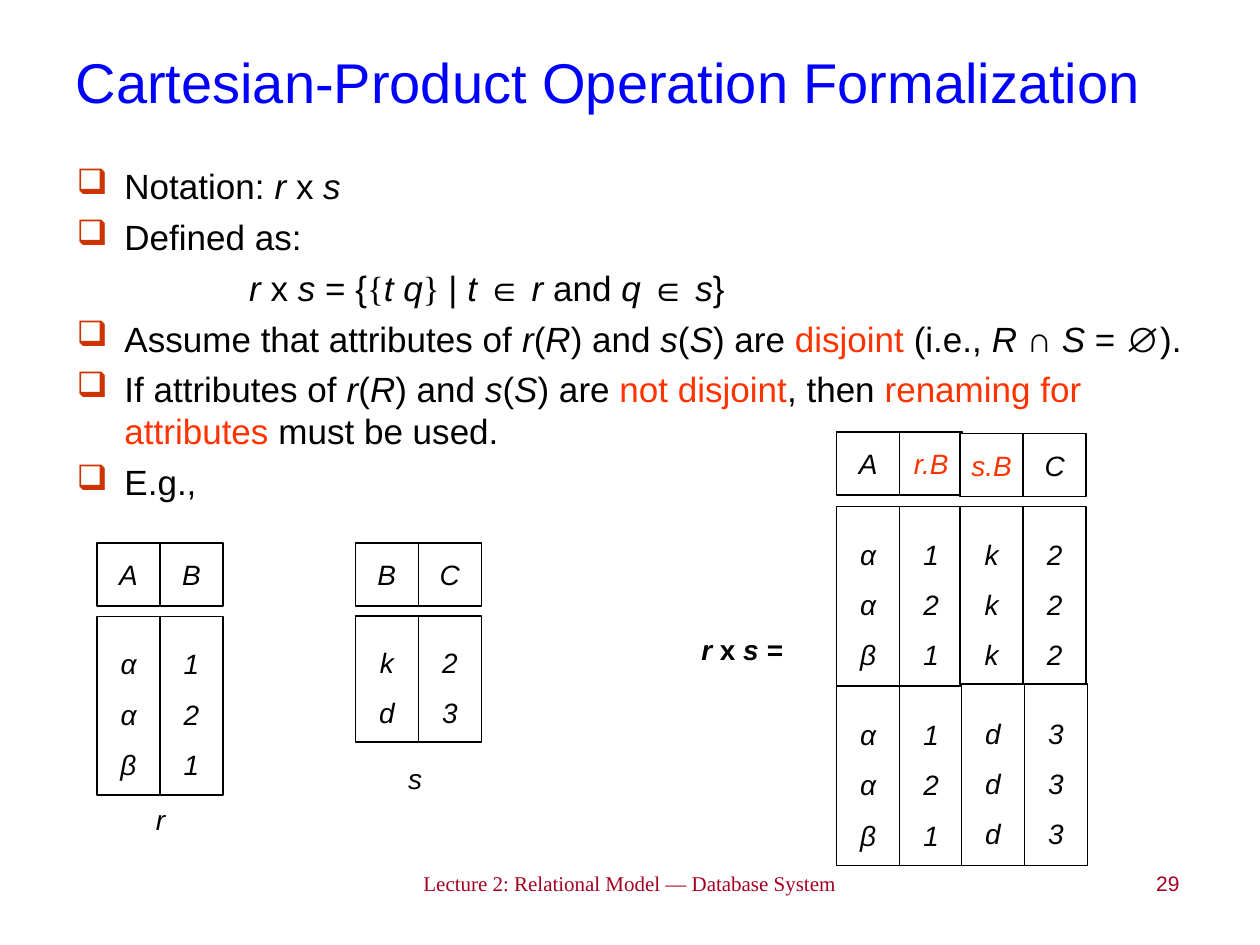
from lxml import etree
from pptx import Presentation
from pptx import util as u
from pptx.dml.color import RGBColor
from pptx.enum import shapes, text
from pptx.oxml import ns

BLACK, WHITE, BLUE = "000000", "FFFFFF", "0000FF"
RED, RUST, WINE = "FF3300", "CC3300", "A50021"
LEFT, CENTER, RIGHT = text.PP_ALIGN.LEFT, text.PP_ALIGN.CENTER, text.PP_ALIGN.RIGHT
SERIF = "Times New Roman"


def color(code):
    return RGBColor.from_string(code)


class Page:
    font = "Arial"
    body_size = 20
    cell_size = 16
    footer_size = 12
    cell_side = 0.5

    def __init__(self, deck):
        self.slide = deck.slides.add_slide(deck.slide_layouts[5])

    def span(self, para, words, size, code=BLACK, italic=False, bold=False, font=None):
        span = para.add_run()
        span.text = words
        span.font.name = font or self.font
        span.font.size = u.Pt(size)
        span.font.color.rgb = color(code)
        span.font.italic = italic
        span.font.bold = bold

    def frame(self, box, wrap=True, anchor=text.MSO_ANCHOR.TOP):
        frame = box.text_frame
        frame.auto_size = text.MSO_AUTO_SIZE.NONE
        frame.word_wrap = wrap
        frame.vertical_anchor = anchor
        frame.margin_left = frame.margin_right = u.Inches(0.1)
        frame.margin_top = frame.margin_bottom = u.Inches(0.05)
        return frame

    def textbox(self, left, top, width, height, **options):
        box = self.slide.shapes.add_textbox(*map(u.Inches, (left, top, width, height)))
        return self.frame(box, **options)

    def title(self, words, left, top, width, height):
        box = self.slide.shapes.title
        box.left, box.top = u.Inches(left), u.Inches(top)
        box.width, box.height = u.Inches(width), u.Inches(height)
        para = self.frame(box, anchor=text.MSO_ANCHOR.MIDDLE).paragraphs[0]
        para.alignment = LEFT
        self.span(para, words, 32, BLUE)

    def footer(self, words, align, left, top, width, height, font=None):
        para = self.textbox(left, top, width, height).paragraphs[0]
        para.alignment = align
        self.span(para, words, self.footer_size, WINE, font=font)

    def label(self, spans, left, top, width, height, bold=False):
        frame = self.textbox(left, top, width, height, wrap=False,
                             anchor=text.MSO_ANCHOR.MIDDLE)
        para = frame.paragraphs[0]
        para.alignment = CENTER
        for words, italic in spans:
            self.span(para, words, self.cell_size, italic=italic, bold=bold)

    def bullet(self, para, mark):
        props = para._p.get_or_add_pPr()
        tint = etree.SubElement(props, ns.qn("a:buClr"))
        etree.SubElement(tint, ns.qn("a:srgbClr"), val=RUST)
        etree.SubElement(props, ns.qn("a:buChar"), char=mark)

    def body(self, items, left, top, width, height):
        frame = self.textbox(left, top, width, height)
        for number, (bulleted, spans) in enumerate(items):
            para = frame.add_paragraph() if number else frame.paragraphs[0]
            props = para._p.get_or_add_pPr()
            props.set("marL", str(u.Inches(0.38 if bulleted else 1.37)))
            props.set("indent", str(u.Inches(-0.38 if bulleted else 0)))
            if bulleted:
                self.bullet(para, "❑")
            para.space_before = u.Pt(5 if number else 0)
            for words, style in spans:
                self.span(para, words, self.body_size, **style)

    def cell(self, lines, left, top, height, code=BLACK, spacing=1.0):
        box = self.slide.shapes.add_shape(
            shapes.MSO_SHAPE.RECTANGLE,
            *map(u.Inches, (left, top, self.cell_side, height)))
        box.shadow.inherit = False
        box.fill.solid()
        box.fill.fore_color.rgb = color(WHITE)
        box.line.color.rgb = color(BLACK)
        box.line.width = u.Pt(0.75)
        frame = self.frame(box, wrap=False, anchor=text.MSO_ANCHOR.MIDDLE)
        for number, words in enumerate(lines):
            para = frame.add_paragraph() if number else frame.paragraphs[0]
            para.alignment = CENTER
            para.line_spacing = spacing
            self.span(para, words, self.cell_size, code, italic=True)

    def header(self, names, left, top):
        for number, name in enumerate(names):
            self.cell([name], left + number * self.cell_side, top, self.cell_side,
                      RED if "." in name else BLACK)

    def columns(self, values, left, top, height):
        for number, lines in enumerate(values):
            self.cell(lines, left + number * self.cell_side, top, height, spacing=1.5)


PLAIN, ITALIC, ACCENT = {}, {"italic": True}, {"code": RED}
BRACE = {"font": SERIF}

RELATIONS = [
    ("r", ITALIC), ("(", PLAIN), ("R", ITALIC), (") and ", PLAIN),
    ("s", ITALIC), ("(", PLAIN), ("S", ITALIC), (") are ", PLAIN),
]
ITEMS = [
    (True, [("Notation:", PLAIN), (" r ", ITALIC), ("x", PLAIN), (" s", ITALIC)]),
    (True, [("Defined as:", PLAIN)]),
    (False, [("r", ITALIC), (" x ", PLAIN), ("s", ITALIC), (" = {", PLAIN),
             ("{", BRACE), ("t q", ITALIC), ("} ", BRACE), ("|", PLAIN),
             (" t ", ITALIC), ("∈", PLAIN), (" r ", ITALIC), ("and ", PLAIN),
             ("q ", ITALIC), ("∈ ", PLAIN), ("s", ITALIC), ("}", PLAIN)]),
    (True, [("Assume that attributes of ", PLAIN), *RELATIONS, ("disjoint", ACCENT),
            (" (i.e., ", PLAIN), ("R ", ITALIC), ("∩", PLAIN), (" S", ITALIC),
            (" = ∅).", PLAIN)]),
    (True, [("If attributes of ", PLAIN), *RELATIONS, ("not disjoint", ACCENT),
            (", then ", PLAIN), ("renaming for attributes", ACCENT),
            (" must be used.", PLAIN)]),
    (True, [("E.g.,", PLAIN)]),
]
R_ROWS = ["ααβ", "121"]


def main():
    deck = Presentation()
    deck.slide_width, deck.slide_height = u.Inches(10), u.Inches(7.5)
    page = Page(deck)
    page.footer("Lecture 2: Relational Model — Database System ", CENTER,
                2.31, 6.86, 5.42, 0.45, SERIF)
    page.footer("29", RIGHT, 8.04, 6.86, 1.42, 0.44)
    page.title("Cartesian-Product Operation Formalization", 0.5, 0.02, 9, 1.25)
    page.body(ITEMS, 0.51, 1.26, 9, 5.41)

    page.header("AB", 0.77, 4.31)
    page.columns(R_ROWS, 0.77, 4.89, 1.42)
    page.header("BC", 2.82, 4.31)
    page.columns(["kd", "23"], 2.82, 4.89, 1)
    page.label([("r", True)], 1.14, 6.32, 0.27, 0.37)
    page.label([("s", True)], 3.14, 5.99, 0.31, 0.37)

    page.header(["A", "r.B"], 6.64, 3.43)
    page.columns(R_ROWS, 6.64, 4.02, 1.42)
    page.header(["s.B", "C"], 7.62, 3.44)
    page.columns(["kkk", "222"], 7.62, 4.02, 1.42)
    page.columns(R_ROWS, 6.64, 5.45, 1.42)
    page.columns(["ddd", "333"], 7.63, 5.43, 1.44)
    page.label([("r ", True), ("x", False), (" s =", True)],
               5.47, 4.97, 0.84, 0.37, bold=True)
    deck.save("out.pptx")


if __name__ == "__main__":
    main()
